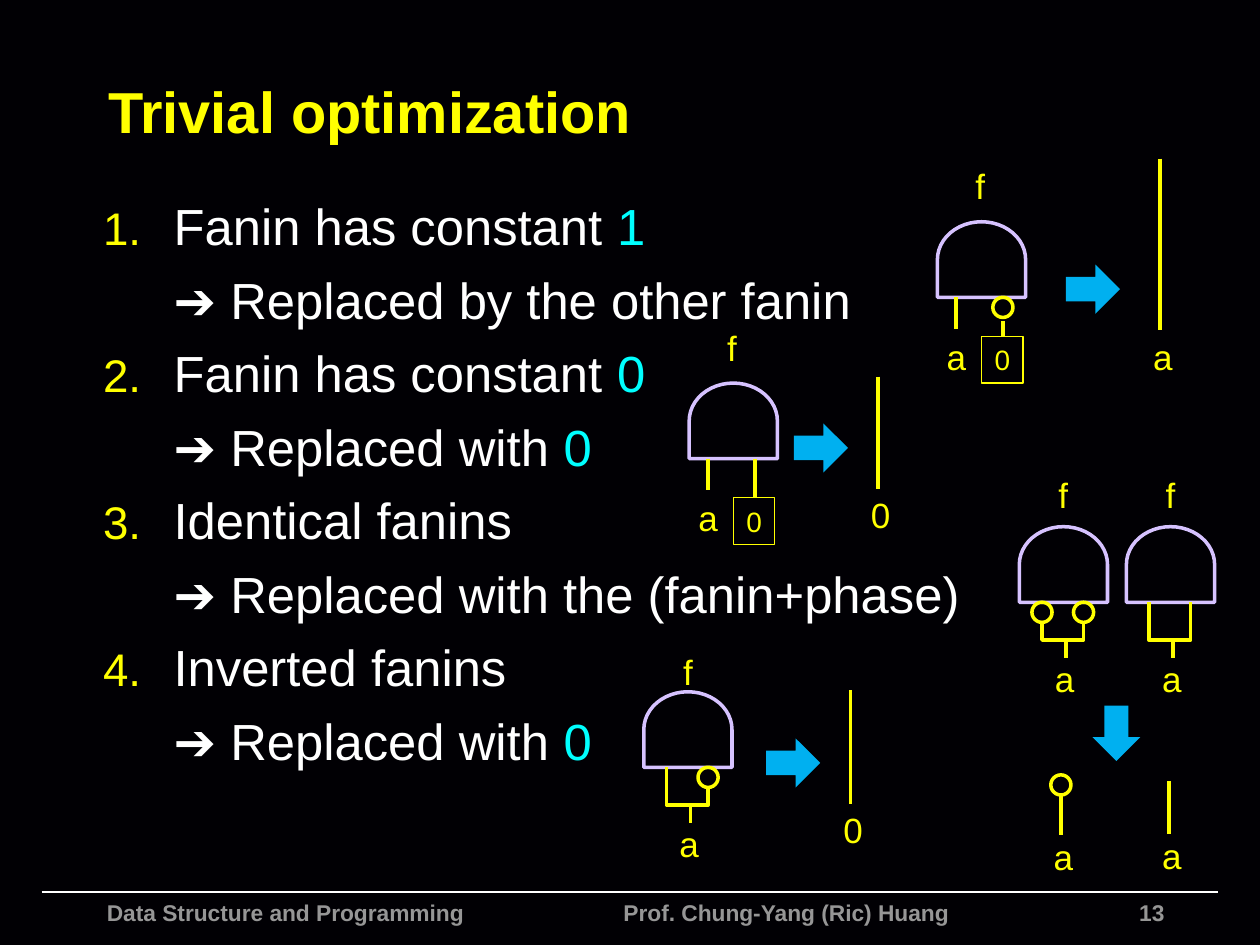
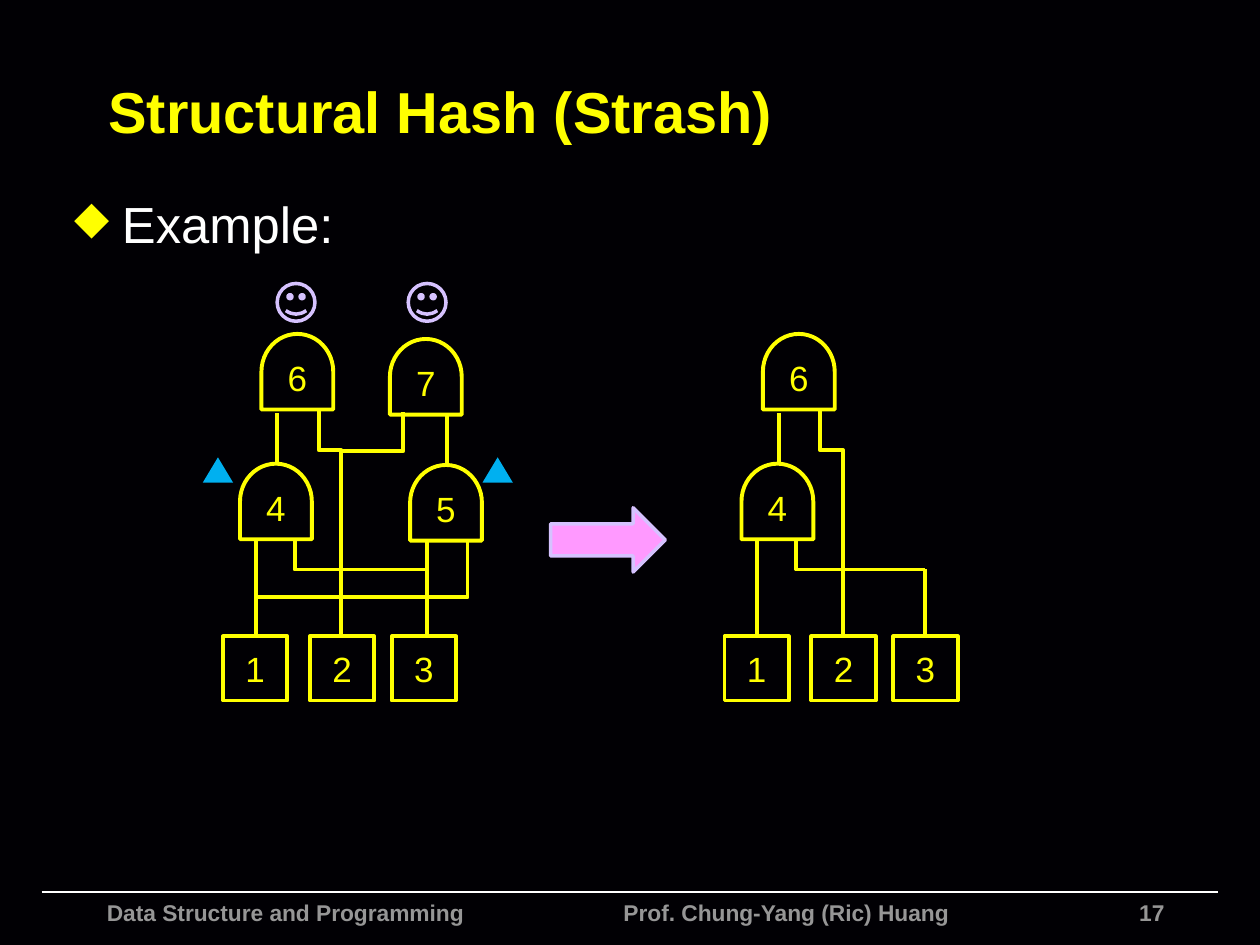
"""Two lecture slides on circuit optimization, built with python-pptx."""
import dataclasses

import lxml.etree
import pptx
import pptx.dml.color
import pptx.enum.shapes
import pptx.enum.text
import pptx.oxml.ns
import pptx.util

SHAPE = pptx.enum.shapes.MSO_SHAPE
CONNECTOR = pptx.enum.shapes.MSO_CONNECTOR
ALIGN = pptx.enum.text.PP_ALIGN
ANCHOR = pptx.enum.text.MSO_ANCHOR
TITLE_ONLY = 5


@dataclasses.dataclass(frozen=True)
class Theme:
    """Colours, font and type sizes of the slides."""
    background: str = "010004"
    title: str = "FFFF00"
    text: str = "FFFFFF"
    accent: str = "00FFFF"
    footer: str = "969696"
    wire: str = "FFFF00"
    gate: str = "D6C2FF"
    arrow: str = "00B0F0"
    big_arrow: str = "FF99FF"
    font: str = "Arial"
    title_size: float = 33
    body_size: float = 29
    label_size: float = 20
    constant_size: float = 16
    footer_size: float = 13


def inch(value):
    """Turn a grid value in inches into a length."""
    return pptx.util.Cm(2.54 * value)


def colour(value):
    """Turn a hex string into a colour."""
    return pptx.dml.color.RGBColor.from_string(value)


def apply(target, values):
    """Set each attribute named in the dict."""
    for name, value in values.items():
        setattr(target, name, value)


def add_element(parent, tag, **attributes):
    """Append one drawing element to its parent."""
    return lxml.etree.SubElement(parent, pptx.oxml.ns.qn(tag), attributes)


@dataclasses.dataclass
class Deck:
    """Holds the theme, the presentation and the current slide."""
    presentation: object
    theme: Theme
    slide: object = None

    def add_text(self, paragraph, text, size, text_colour, bold=False):
        """Add one formatted run."""
        run = paragraph.add_run()
        run.text = text
        apply(run.font, {"name": self.theme.font, "size": pptx.util.Pt(size), "bold": bold})
        run.font.color.rgb = colour(text_colour)

    def text_box(self, left, top, width, height, wrap=True):
        """Add a text box and return its text frame."""
        box = self.slide.shapes.add_textbox(*map(inch, (left, top, width, height)))
        box.text_frame.word_wrap = wrap
        return box.text_frame

    def start(self, title, number):
        """Begin a slide with its title and footer."""
        theme = self.theme
        self.slide = self.presentation.slides.add_slide(
            self.presentation.slide_layouts[TITLE_ONLY])
        shape = self.slide.shapes.title
        apply(shape, {"left": inch(0.76), "top": inch(0.37),
                      "width": inch(8.84), "height": inch(1.01)})
        apply(shape.text_frame, {"vertical_anchor": ANCHOR.MIDDLE,
                                 "auto_size": pptx.enum.text.MSO_AUTO_SIZE.NONE})
        paragraph = shape.text_frame.paragraphs[0]
        paragraph.alignment = ALIGN.LEFT
        self.add_text(paragraph, title, theme.title_size, theme.title, True)

        self.wire((0.33, 7.08), (9.67, 7.08), theme.text, 1)
        paragraph = self.text_box(0.75, 7.08, 7.24, 0.42).paragraphs[0]
        tabs = add_element(paragraph._p.get_or_add_pPr(), "a:tabLst")
        add_element(tabs, "a:tab", pos=str(inch(4.1)), algn="l")
        self.add_text(paragraph, "Data Structure and Programming\tProf. Chung-Yang (Ric) Huang",
                      theme.footer_size, theme.footer, True)
        paragraph = self.text_box(6.17, 7.08, 3.17, 0.18).paragraphs[0]
        paragraph.alignment = ALIGN.RIGHT
        self.add_text(paragraph, str(number), theme.footer_size, theme.footer, True)

    def body_line(self, paragraph, runs, margin, bullet=None):
        """Fill a body line; a bullet is a tag and its attributes."""
        properties = paragraph._p.get_or_add_pPr()
        properties.set("marL", str(inch(margin)))
        properties.set("indent", str(-inch(margin) if bullet else 0))
        paragraph.space_before = pptx.util.Pt(7.2)
        if bullet:
            tag, attributes = bullet
            add_element(add_element(properties, "a:buClr"), "a:srgbClr", val=self.theme.title)
            add_element(properties, "a:buSzPct", val="90000")
            add_element(properties, tag, **attributes)
        for text, text_colour in runs:
            self.add_text(paragraph, text, self.theme.body_size, text_colour)

    def shape(self, kind, left, top, width, height, fill=None, line=None, weight=2):
        """Add a preset shape."""
        shape = self.slide.shapes.add_shape(kind, *map(inch, (left, top, width, height)))
        self.paint(shape, fill, line, weight)
        return shape

    def paint(self, shape, fill, line, weight):
        """Set fill and outline, and drop the shadow."""
        shape.shadow.inherit = False
        for part, value in ((shape.fill, fill), (shape.line.fill, line)):
            if value:
                part.solid()
                part.fore_color.rgb = colour(value)
            else:
                part.background()
        if line:
            shape.line.width = pptx.util.Pt(weight)

    def connector(self, kind, start, end, line, weight):
        """Add a connector without shadow."""
        connector = self.slide.shapes.add_connector(kind, *map(inch, (*start, *end)))
        connector.line.color.rgb = colour(line)
        connector.line.width = pptx.util.Pt(weight)
        add_element(connector._element.spPr, "a:effectLst")
        return connector

    def wire(self, start, end, line=None, weight=2.25):
        """Draw a straight wire."""
        self.connector(CONNECTOR.STRAIGHT, start, end, line or self.theme.wire, weight)

    def elbow_wire(self, start, end, bend):
        """Draw a wire that rises, steps left at the bend and rises again."""
        (x1, y1), (x2, y2) = start, end
        middle_x, middle_y = (x1 + x2) / 2, (y1 + y2) / 2
        half_rise, half_step = (y1 - y2) / 2, (x1 - x2) / 2
        connector = self.connector(
            CONNECTOR.ELBOW, (middle_x - half_rise, middle_y - half_step),
            (middle_x + half_rise, middle_y + half_step), self.theme.wire, 2.25)
        properties = connector._element.spPr
        frame = properties.find(pptx.oxml.ns.qn("a:xfrm"))
        frame.set("rot", str(270 * 60000))
        frame.set("flipV", "1")
        guides = properties.find(".//" + pptx.oxml.ns.qn("a:avLst"))
        add_element(guides, "a:gd", name="adj1", fmla=f"val {round(bend * 100000)}")

    def bent_wire(self, points, weight=2.25):
        """Draw an open outline through the points."""
        first, *rest = [tuple(map(inch, point)) for point in points]
        builder = self.slide.shapes.build_freeform(*first)
        builder.add_line_segments(rest, close=False)
        self.paint(builder.convert_to_shape(), None, self.theme.wire, weight)

    def label(self, text, x, y):
        """Put a wire or gate name centred on a point."""
        paragraph = self.text_box(x - 0.18, y - 0.22, 0.36, 0.44, False).paragraphs[0]
        paragraph.alignment = ALIGN.CENTER
        self.add_text(paragraph, text, self.theme.label_size, self.theme.wire)

    def box(self, text, left, top, width, height, size, weight):
        """Draw an outlined box with text in it."""
        shape = self.shape(SHAPE.RECTANGLE, left, top, width, height, None,
                           self.theme.wire, weight)
        apply(shape.text_frame, {"word_wrap": False, "vertical_anchor": ANCHOR.MIDDLE})
        paragraph = shape.text_frame.paragraphs[0]
        paragraph.alignment = ALIGN.CENTER
        self.add_text(paragraph, text, size, self.theme.wire)

    def gate(self, x, y, breadth, line, weight=2):
        """Draw an AND gate that points up, centred on a point."""
        shape = self.shape(SHAPE.FLOWCHART_DELAY, x - 0.3, y - breadth / 2, 0.6, breadth,
                           None, line, weight)
        shape.rotation = 270

    def bubble(self, x, y):
        """Draw an inverter bubble centred on a point."""
        self.shape(SHAPE.FLOWCHART_CONNECTOR, x - 0.08, y - 0.08, 0.16, 0.16,
                   None, self.theme.wire)

    def constant_gate(self, x, y, inverted):
        """Draw gate f with the fanins a and constant 0."""
        self.gate(x, y, 0.7, self.theme.gate)
        self.wire((x - 0.2, y + 0.3), (x - 0.2, y + 0.55))
        self.wire((x + 0.17, y + (0.49 if inverted else 0.3)), (x + 0.17, y + 0.61))
        self.box("0", x, y + 0.61, 0.33, 0.37, self.theme.constant_size, 0.75)
        if inverted:
            self.bubble(x + 0.17, y + 0.38)
        self.label("a", x - 0.2, y + 0.77)
        self.label("f", x - 0.01, y - 0.58)

    def forked_gate(self, x, y, left_inverted, right_inverted, name_rise=0.55):
        """Draw gate f with both fanins joined to a."""
        self.gate(x, y, 0.7, self.theme.gate)
        ends = []
        for side, inverted in ((x - 0.17, left_inverted), (x + 0.16, right_inverted)):
            ends.append((side, y + (0.46 if inverted else 0.3)))
            if inverted:
                self.bubble(side, y + 0.38)
        left, right = ends
        self.bent_wire((left, (left[0], y + 0.6), (right[0], y + 0.6), right), 2)
        self.wire((x + 0.02, y + 0.61), (x + 0.02, y + 0.74))
        self.label("a", x + 0.01, y + 0.91)
        self.label("f", x, y - name_rise)

    def result(self, text, x, top, bottom, gap=0.21):
        """Draw the wire that replaces a gate, with its name below."""
        self.wire((x, top), (x, bottom))
        self.label(text, x + 0.02, bottom + gap)

    def named_gate(self, name, x, y):
        """Draw a numbered gate."""
        self.gate(x, y, 0.57, self.theme.wire, 2.25)
        self.label(name, x, y + 0.05)

    def circuit(self, shift, third_input):
        """Draw inputs 1 to 3 with gates 4 and 6, moved right by shift."""
        for name, left in (("1", 1.77), ("2", 2.46), ("3", 3.11)):
            self.box(name, left + shift, 5.05, 0.51, 0.51, self.theme.label_size, 2.25)
        self.named_gate("4", 2.19 + shift, 3.98)
        self.named_gate("6", 2.36 + shift, 2.95)
        self.wire((2.03 + shift, 5.04), (2.03 + shift, 4.28))
        self.wire((2.2 + shift, 3.67), (2.2 + shift, 3.28))
        self.elbow_wire((2.71 + shift, 5.05), (2.53 + shift, 3.25), 0.82)
        self.wire((third_input, 5.04), (third_input, 4.52))
        self.bent_wire(((third_input, 4.52), (2.34 + shift, 4.52), (2.34 + shift, 4.28)))


def trivial_optimization(deck):
    """Build the slide with the four rules."""
    theme = deck.theme
    deck.start("Trivial optimization", 13)
    rules = (
        ("Fanin has constant ", "1", "Replaced by the other fanin", ""),
        ("Fanin has constant ", "0", "Replaced with ", "0"),
        ("Identical fanins", "", "Replaced with the (fanin+phase)", ""),
        ("Inverted fanins", "", "Replaced with ", "0"),
    )
    frame = deck.text_box(0.72, 1.5, 8.5, 5.17)
    paragraph = frame.paragraphs[0]
    for number, (case, value, action, outcome) in enumerate(rules, 1):
        numbering = ("a:buAutoNum", {"type": "arabicPeriod", "startAt": str(number)})
        for text, accent, bullet in ((case, value, numbering),
                                     ("\u2794 " + action, outcome, None)):
            paragraph = paragraph if not paragraph.runs else frame.add_paragraph()
            runs = [(text, theme.text)] + ([(accent, theme.accent)] if accent else [])
            deck.body_line(paragraph, runs, 0.56, bullet)

    deck.constant_gate(7.79, 2.06, True)
    deck.constant_gate(5.82, 3.34, False)
    deck.forked_gate(8.44, 4.48, True, True)
    deck.forked_gate(9.29, 4.48, False, False)
    deck.forked_gate(5.46, 5.79, False, True, 0.46)
    for left, top in ((8.46, 2.1), (6.3, 3.36), (6.08, 5.86)):
        deck.shape(SHAPE.RIGHT_ARROW, left, top, 0.43, 0.39, theme.arrow)
    deck.shape(SHAPE.DOWN_ARROW, 8.67, 5.6, 0.38, 0.44, theme.arrow)
    deck.result("a", 9.21, 1.26, 2.62)
    deck.result("0", 6.97, 2.99, 3.88)
    deck.result("0", 6.75, 5.48, 6.38)
    deck.result("a", 9.28, 6.2, 6.62, 0.17)
    deck.result("a", 8.42, 6.31, 6.63, 0.17)
    deck.bubble(8.42, 6.23)


def structural_hash(deck):
    """Build the slide that merges equal gates."""
    theme = deck.theme
    deck.start("Structural Hash (Strash)", 17)
    paragraph = deck.text_box(0.49, 1.48, 8.5, 5.17).paragraphs[0]
    deck.body_line(paragraph, [("Example:", theme.text)], 0.38,
                   ("a:buChar", {"char": "\u25c6"}))
    deck.circuit(0, 3.39)
    deck.named_gate("5", 3.54, 3.99)
    deck.named_gate("7", 3.38, 2.99)
    deck.wire((3.39, 4.52), (3.39, 4.29))
    deck.wire((3.55, 3.69), (3.55, 3.3))
    deck.bent_wire(((2.02, 4.74), (3.71, 4.74), (3.71, 4.28)))
    deck.bent_wire(((2.71, 3.58), (3.2, 3.58), (3.2, 3.27)))
    deck.circuit(3.98, 7.34)
    deck.shape(SHAPE.RIGHT_ARROW, 4.37, 4.03, 0.91, 0.51, theme.big_arrow, theme.gate)
    for left in (1.61, 3.83):
        deck.shape(SHAPE.ISOSCELES_TRIANGLE, left, 3.63, 0.24, 0.2, theme.arrow)
    for left in (2.2, 3.24):
        deck.shape(SHAPE.SMILEY_FACE, left, 2.25, 0.3, 0.3, None, theme.gate)


def main():
    """Build and save the presentation."""
    presentation = pptx.Presentation()
    apply(presentation, {"slide_width": inch(10), "slide_height": inch(7.5)})
    deck = Deck(presentation, Theme())
    fill = presentation.slide_master.background.fill
    fill.solid()
    fill.fore_color.rgb = colour(deck.theme.background)
    trivial_optimization(deck)
    structural_hash(deck)
    presentation.save("out.pptx")


main()
